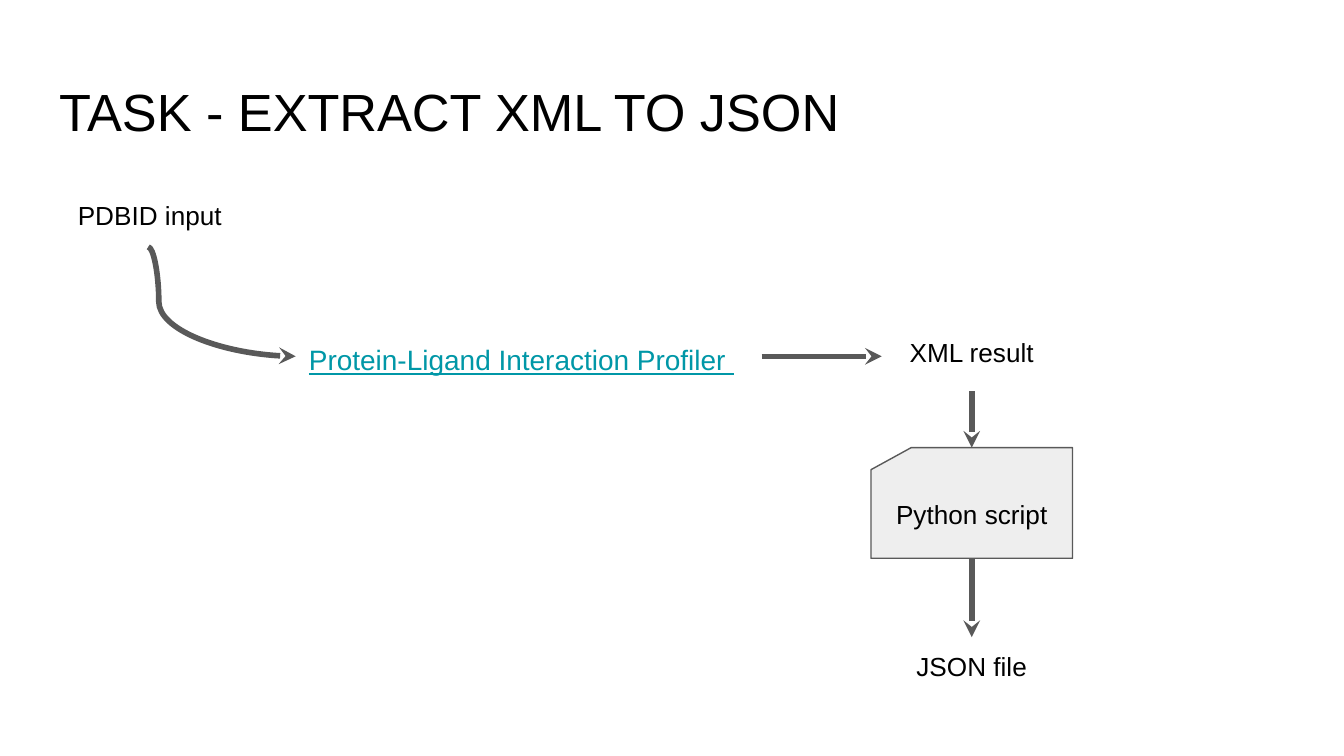
from dataclasses import dataclass

from lxml.etree import SubElement
from pptx import Presentation
from pptx.dml.color import RGBColor
from pptx.enum.shapes import MSO_CONNECTOR as Link, MSO_SHAPE as Shape
from pptx.enum.text import MSO_ANCHOR as Anchor, MSO_AUTO_SIZE as AutoSize, PP_ALIGN as Align
from pptx.oxml.ns import qn
from pptx.util import Pt


@dataclass(frozen=True)
class Theme:
    font: str = "Arial"
    ink: RGBColor = RGBColor(0, 0, 0)
    link: RGBColor = RGBColor(0x00, 0x97, 0xA7)
    line: RGBColor = RGBColor(0x59, 0x59, 0x59)
    card: RGBColor = RGBColor(0xEE, 0xEE, 0xEE)
    title_size: float = 28
    link_size: float = 15
    label_size: float = 14


theme = Theme()


def write(box, text, size, color=theme.ink, align=Align.LEFT, anchor=Anchor.TOP):
    frame = box.text_frame
    frame.word_wrap = True
    frame.auto_size = AutoSize.NONE
    frame.vertical_anchor = anchor
    frame.margin_left = frame.margin_right = Pt(7.2)
    frame.margin_top = frame.margin_bottom = Pt(7.2)
    para = frame.paragraphs[0]
    para.alignment = align
    span = para.add_run()
    span.text = text
    span.font.name = theme.font
    span.font.size = Pt(size)
    span.font.color.rgb = color
    return span


def add_arrow(kind, start, end):
    arrow = page.shapes.add_connector(kind, *map(Pt, start + end))
    arrow.line.color.rgb = theme.line
    arrow.line.width = Pt(3)
    SubElement(arrow.line._get_or_add_ln(), qn("a:tailEnd"), type="stealth")
    SubElement(arrow._element.spPr, qn("a:effectLst"))
    return arrow


deck = Presentation()
deck.slide_width, deck.slide_height = Pt(720), Pt(405)
page = deck.slides.add_slide(deck.slide_layouts[5])

title = page.shapes.title
title.left, title.top, title.width, title.height = map(Pt, (24.5, 35.3, 671, 45.4))
write(title, "TASK - EXTRACT XML TO JSON", theme.title_size)

column_x = 520.6
flow_y = 190.9
label_width, label_height = 96.5, 36.7
label_left = column_x - label_width / 2
xml_top, json_top = 172.8, 341.3
card_top, card_width, card_height = 239.8, 108, 59.3
profiler_left, profiler_width = 158.4, 249.6

profiler = page.shapes.add_textbox(*map(Pt, (profiler_left, 176.4, profiler_width, 29.5)))
profiler_span = write(profiler, "Protein-Ligand Interaction Profiler ", theme.link_size, theme.link)
profiler_span.font.underline = True

for text, left, top, align in (
    ("PDBID input", 34.6, 99.4, Align.LEFT),
    ("XML result", label_left, xml_top, Align.CENTER),
    ("JSON file", label_left, json_top, Align.CENTER),
):
    label = page.shapes.add_textbox(*map(Pt, (left, top, label_width, label_height)))
    write(label, text, theme.label_size, align=align)

card = page.shapes.add_shape(
    Shape.FLOWCHART_CARD,
    *map(Pt, (column_x - card_width / 2, card_top, card_width, card_height)),
)
card.shadow.inherit = False
card.fill.solid()
card.fill.fore_color.rgb = theme.card
card.line.color.rgb = theme.line
card.line.width = Pt(0.75)
write(card, "Python script", theme.label_size, align=Align.CENTER, anchor=Anchor.MIDDLE)

curve = add_arrow(Link.CURVE, (79.4, 132.3), (profiler_left, flow_y))
bends = curve._element.spPr.find(qn("a:prstGeom")).get_or_add_avLst()
SubElement(bends, qn("a:gd"), name="adj1", fmla="val 7200")

for start, end in (
    ((profiler_left + profiler_width, flow_y), (label_left, flow_y)),
    ((column_x, xml_top + label_height), (column_x, card_top)),
    ((column_x, card_top + card_height), (column_x, json_top)),
):
    add_arrow(Link.STRAIGHT, start, end)

deck.save("out.pptx")
